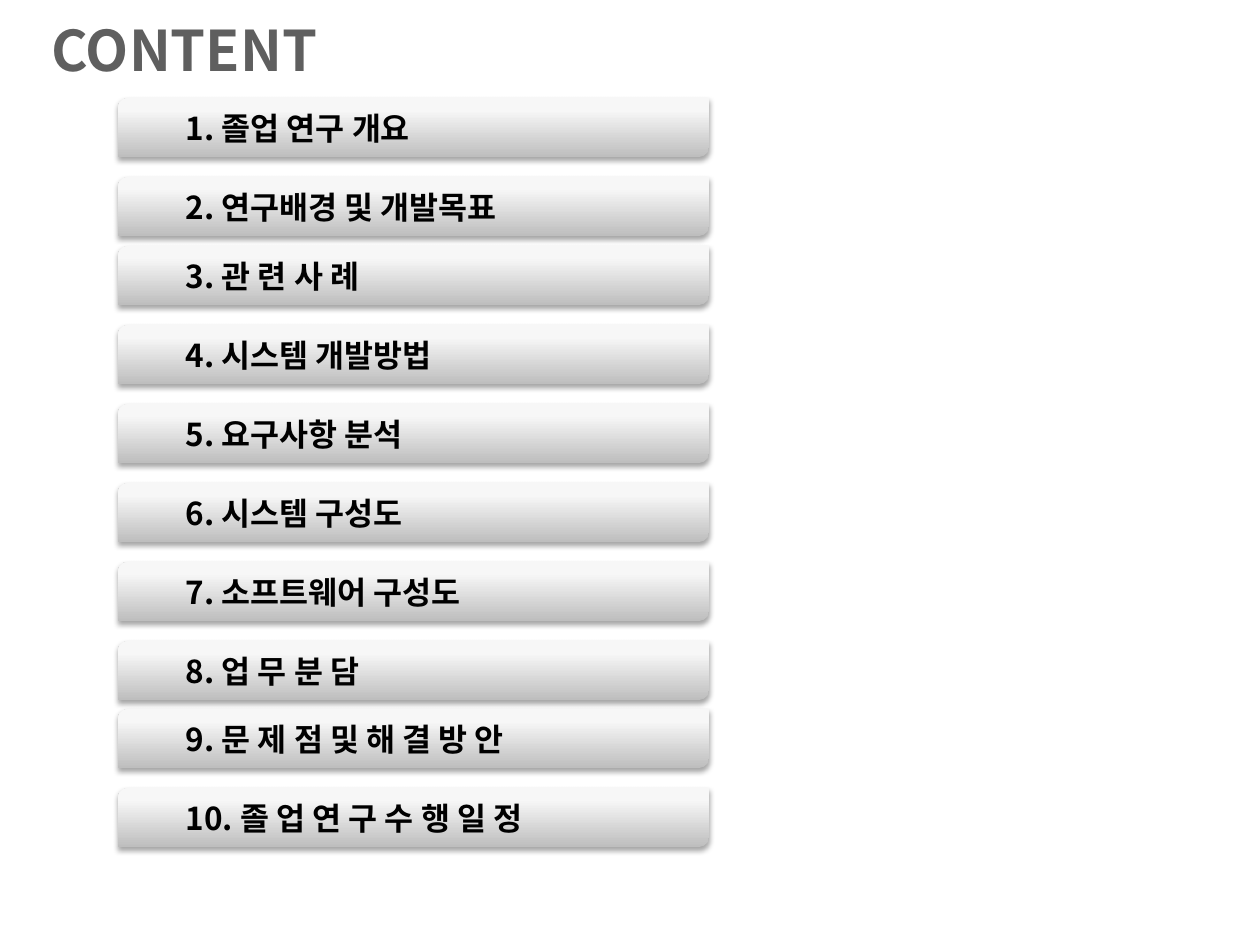
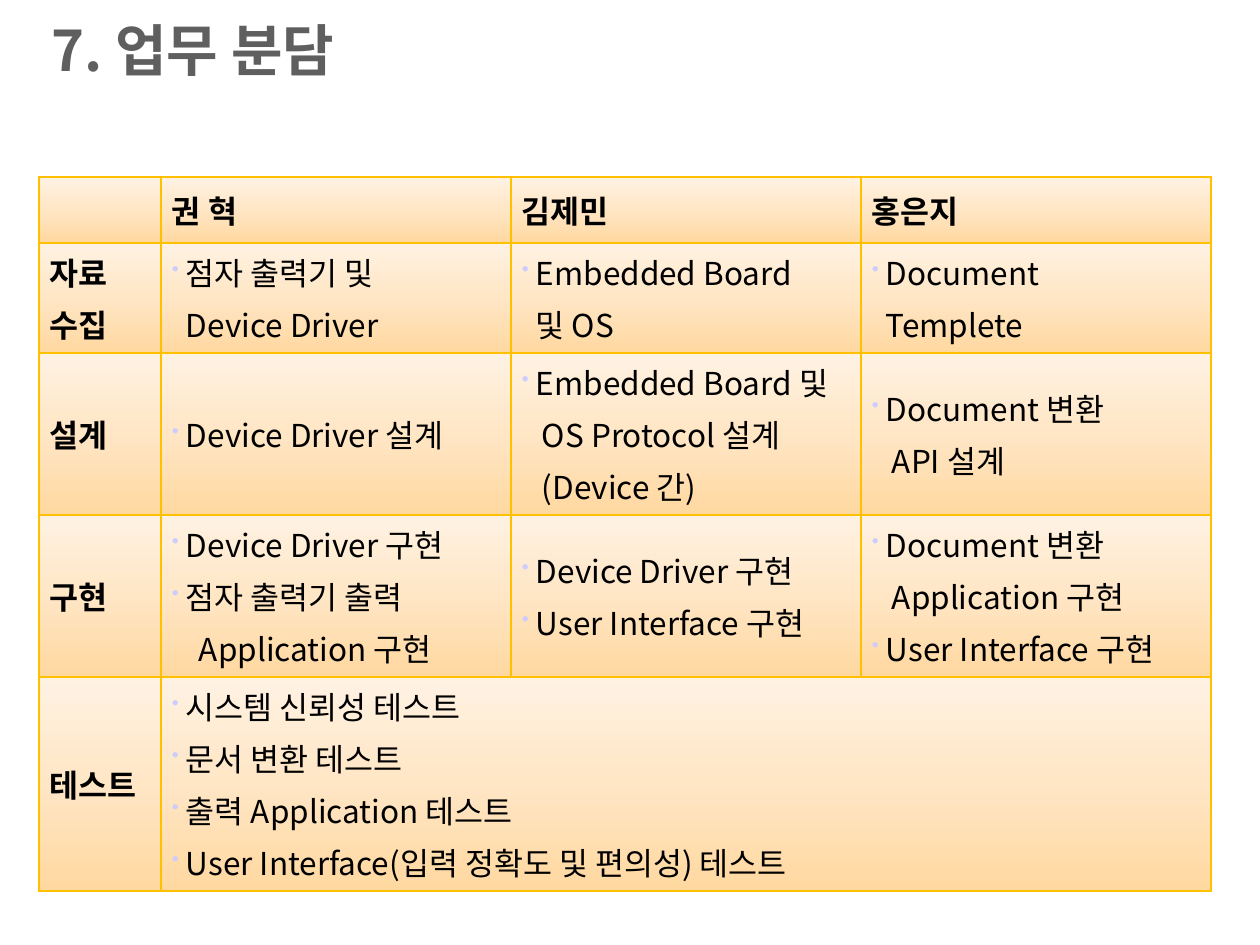
from dataclasses import dataclass
from itertools import chain

from lxml import etree
from pptx import Presentation
from pptx import util as u
from pptx.dml.color import RGBColor
from pptx.enum import shapes, text
from pptx.oxml import ns

EMU_PER_PX = 914400 / 126


@dataclass(frozen=True)
class Gradient:
    stops: tuple[tuple[int, str], ...]
    angle: int = 90


@dataclass(frozen=True)
class Theme:
    font: str = "Noto Sans CJK KR"
    title_color: str = "5F5F5F"
    body_color: str = "000000"
    bullet_color: str = "CCCCFF"
    border_color: str = "FFC000"
    shadow_color: str = "000000"
    title_size: int = 32
    body_size: int = 18
    bullet_percent: int = 65
    paragraph_gap: float = 3.6
    border_width: int = 1
    bar_fill: Gradient = Gradient(((0, "BEBEBE"), (80, "F7F7F7"), (100, "F8F8F8")))
    cell_fill: Gradient = Gradient(((0, "FFD8A0"), (50, "FFE6C5"), (100, "FFF2E3")))


@dataclass(frozen=True)
class Box:
    left: int
    top: int
    width: int
    height: int

    def emu(self) -> tuple[u.Emu, ...]:
        return tuple(px(side) for side in (self.left, self.top, self.width, self.height))


@dataclass(frozen=True)
class AgendaGroup:
    top: int
    topics: tuple[str, ...]


@dataclass(frozen=True)
class Line:
    words: str
    indent: int = 0
    bold: bool = False
    bullet: bool = False


THEME = Theme()
TITLE_BOX = Box(39, 0, 1221, 98)
BAR_LEFT, BAR_WIDTH, BAR_HEIGHT, BAR_STEP, BAR_INDENT = 118, 591, 59, 79, 65
TABLE_LEFT, TABLE_TOP = 39, 177
COLUMN_WIDTHS = (122, 350, 350, 350)
ROW_HEIGHTS = (66, 110, 162, 162, 214)
CELL_MARGIN_X, CELL_MARGIN_Y = 11, 6
HANG = 14

AGENDA = (
    AgendaGroup(98, ("졸업 연구 개요", "연구배경 및 개발목표")),
    AgendaGroup(246, ("관 련 사 례", "시스템 개발방법", "요구사항 분석",
                      "시스템 구성도", "소프트웨어 구성도", "업 무 분 담")),
    AgendaGroup(709, ("문 제 점 및 해 결 방 안", "졸 업 연 구 수 행 일 정")),
)


def px(length: int) -> u.Emu:
    return u.Emu(round(length * EMU_PER_PX))


def head(words: str) -> Line:
    return Line(words, bold=True)


def item(words: str) -> Line:
    return Line(words, HANG, bullet=True)


def more(words: str, indent: int = HANG) -> Line:
    return Line(words, indent)


DUTIES: tuple[tuple[tuple[Line, ...], ...], ...] = (
    ((), (head("권 혁"),), (head("김제민"),), (head("홍은지"),)),
    (
        (head("자료"), head("수집")),
        (item("점자 출력기 및"), more("Device Driver")),
        (item("Embedded Board"), more("및 OS")),
        (item("Document"), more("Templete")),
    ),
    (
        (head("설계"),),
        (item("Device Driver 설계"),),
        (item("Embedded Board 및"), more("OS Protocol 설계", 20), more("(Device 간)", 20)),
        (item("Document 변환"), more("API 설계", 20)),
    ),
    (
        (head("구현"),),
        (item("Device Driver 구현"), item("점자 출력기 출력"), more("Application 구현", 27)),
        (item("Device Driver 구현"), item("User Interface 구현")),
        (item("Document 변환"), more("Application 구현", 20), item("User Interface 구현")),
    ),
    (
        (head("테스트"),),
        (
            item("시스템 신뢰성 테스트"),
            item("문서 변환 테스트"),
            item("출력 Application 테스트"),
            item("User Interface(입력 정확도 및 편의성) 테스트"),
        ),
    ),
)


def add_element(parent, tag: str, **attributes):
    values = {name: str(value) for name, value in attributes.items()}
    return etree.SubElement(parent, ns.qn(tag), values)


def style_runs(paragraph, size: int, color: str, bold: bool) -> None:
    for run in paragraph.runs:
        run.font.size = u.Pt(size)
        run.font.bold = bold
        run.font.color.rgb = RGBColor.from_string(color)
        run.font.name = THEME.font
        add_element(run.font._element, "a:ea", typeface=THEME.font)


def apply_gradient(fill, properties, gradient: Gradient) -> None:
    fill.gradient()
    fill.gradient_angle = gradient.angle
    stop_list = properties.find(".//" + ns.qn("a:gsLst"))
    for stop in list(stop_list):
        stop_list.remove(stop)
    for position, color in gradient.stops:
        stop = add_element(stop_list, "a:gs", pos=position * 1000)
        add_element(stop, "a:srgbClr", val=color)


def add_soft_shadow(shape) -> None:
    shape.shadow.inherit = False
    effects = shape._element.spPr.find(ns.qn("a:effectLst"))
    shadow = add_element(effects, "a:outerShdw", blurRad=u.Pt(3.1), dist=u.Pt(1.8),
                         dir=5400000, rotWithShape=0)
    color = add_element(shadow, "a:srgbClr", val=THEME.shadow_color)
    add_element(color, "a:alpha", val=35000)


def add_titled_slide(presentation, title: str):
    slide = presentation.slides.add_slide(presentation.slide_layouts[6])
    frame = slide.shapes.add_textbox(*TITLE_BOX.emu()).text_frame
    frame.word_wrap = True
    frame.vertical_anchor = text.MSO_ANCHOR.MIDDLE
    frame.text = title
    style_runs(frame.paragraphs[0], THEME.title_size, THEME.title_color, True)
    return slide


def add_agenda_bar(slide, box: Box, label: str) -> None:
    bar = slide.shapes.add_shape(shapes.MSO_SHAPE.ROUND_2_DIAG_RECTANGLE, *box.emu())
    apply_gradient(bar.fill, bar._element.spPr, THEME.bar_fill)
    bar.line.fill.background()
    add_soft_shadow(bar)
    frame = bar.text_frame
    frame.margin_left = px(BAR_INDENT)
    frame.vertical_anchor = text.MSO_ANCHOR.MIDDLE
    frame.text = label
    paragraph = frame.paragraphs[0]
    paragraph.alignment = text.PP_ALIGN.LEFT
    style_runs(paragraph, THEME.body_size, THEME.body_color, True)


def add_bullet(properties) -> None:
    color = add_element(properties, "a:buClr")
    add_element(color, "a:srgbClr", val=THEME.bullet_color)
    add_element(properties, "a:buSzPct", val=THEME.bullet_percent * 1000)
    add_element(properties, "a:buChar", char="•")


def write_lines(frame, lines: tuple[Line, ...]) -> None:
    for index, line in enumerate(lines):
        paragraph = frame.add_paragraph() if index else frame.paragraphs[0]
        paragraph.text = line.words
        properties = paragraph._p.get_or_add_pPr()
        properties.set("marL", str(px(line.indent)))
        properties.set("indent", str(-px(line.indent) if line.bullet else 0))
        if line.bullet:
            add_bullet(properties)
        if index:
            paragraph.space_before = u.Pt(THEME.paragraph_gap)
        style_runs(paragraph, THEME.body_size, THEME.body_color, line.bold)


def style_cell(cell) -> None:
    cell.margin_left = cell.margin_right = px(CELL_MARGIN_X)
    cell.margin_top = cell.margin_bottom = px(CELL_MARGIN_Y)
    cell.vertical_anchor = text.MSO_ANCHOR.MIDDLE
    properties = cell._tc.get_or_add_tcPr()
    for side in ("a:lnL", "a:lnR", "a:lnT", "a:lnB"):
        border = add_element(properties, side, w=u.Pt(THEME.border_width))
        fill = add_element(border, "a:solidFill")
        add_element(fill, "a:srgbClr", val=THEME.border_color)
    apply_gradient(cell.fill, properties, THEME.cell_fill)


def build_agenda(presentation) -> None:
    slide = add_titled_slide(presentation, "CONTENT")
    tops = chain.from_iterable(
        ((group.top + index * BAR_STEP, topic) for index, topic in enumerate(group.topics))
        for group in AGENDA
    )
    for number, (top, topic) in enumerate(tops, start=1):
        add_agenda_bar(slide, Box(BAR_LEFT, top, BAR_WIDTH, BAR_HEIGHT), f"{number}. {topic}")


def build_duties(presentation) -> None:
    slide = add_titled_slide(presentation, "7. 업무 분담")
    box = Box(TABLE_LEFT, TABLE_TOP, sum(COLUMN_WIDTHS), sum(ROW_HEIGHTS))
    table = slide.shapes.add_table(len(ROW_HEIGHTS), len(COLUMN_WIDTHS), *box.emu()).table
    table.first_row = table.horz_banding = False
    for column, width in zip(table.columns, COLUMN_WIDTHS):
        column.width = px(width)
    for row, height in zip(table.rows, ROW_HEIGHTS):
        row.height = px(height)
    for cell in table.iter_cells():
        style_cell(cell)
    last_row = len(ROW_HEIGHTS) - 1
    table.cell(last_row, 1).merge(table.cell(last_row, len(COLUMN_WIDTHS) - 1))
    for row_index, duties in enumerate(DUTIES):
        for column_index, lines in enumerate(duties):
            write_lines(table.cell(row_index, column_index).text_frame, lines)


def main() -> None:
    presentation = Presentation()
    presentation.slide_width = px(1260)
    presentation.slide_height = px(945)
    build_agenda(presentation)
    build_duties(presentation)
    presentation.save("out.pptx")


if __name__ == "__main__":
    main()
